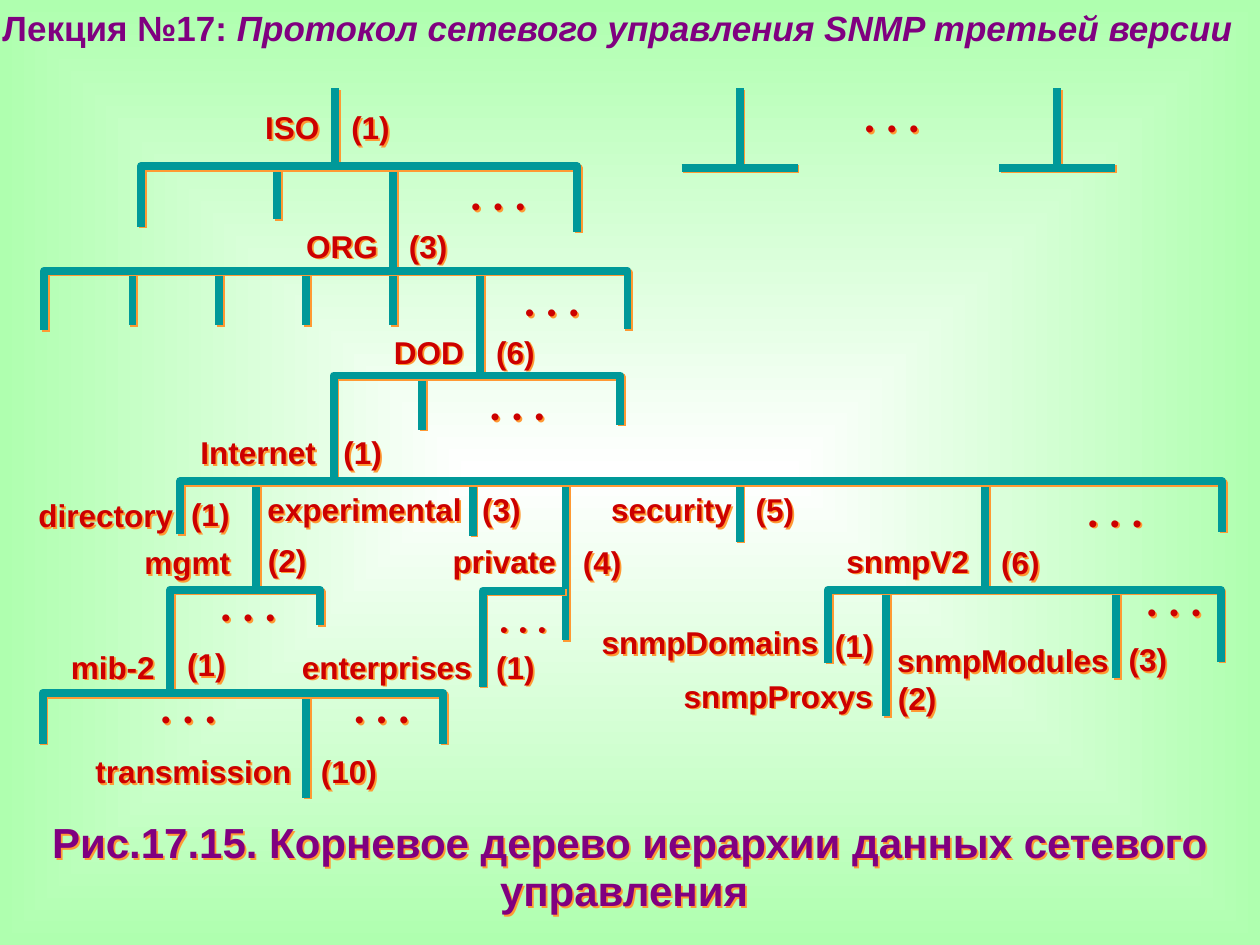
"""Builds the slide with the root tree of the network management data hierarchy."""
from pptx import Presentation
from pptx.dml.color import RGBColor
from pptx.enum.shapes import MSO_CONNECTOR as Connector
from pptx.enum.text import MSO_ANCHOR as Anchor, PP_ALIGN as Align
from pptx.oxml import parse_xml
from pptx.oxml.ns import nsdecls, qn
from pptx.util import Cm, Pt

rgb = RGBColor.from_string
PURPLE, RED, TEAL = "800080", "CC0000", "009999"
DOTS = "•  •  •"

SHADOW = (
    f'<a:effectLst {nsdecls("a")}><a:outerShdw dist="17961" dir="2700000" algn="ctr" rotWithShape="0">'
    '<a:srgbClr val="FF9933"/></a:outerShdw></a:effectLst>'
)
GRADIENT = (
    f'<a:gradFill {nsdecls("a")} rotWithShape="0"><a:gsLst>'
    '<a:gs pos="0"><a:srgbClr val="FFFFFF"/></a:gs><a:gs pos="100000"><a:srgbClr val="AFFFAF"/></a:gs>'
    '</a:gsLst><a:path path="shape"><a:fillToRect l="50000" t="50000" r="50000" b="50000"/></a:path></a:gradFill>'
)


def write(shape, text, size=18, color=RED, align=Align.CENTER, wrap=False, tail="", inset=(0, 0), spacing=1.0):
    frame = shape.text_frame
    frame.word_wrap = wrap
    frame.vertical_anchor = Anchor.MIDDLE
    frame.margin_left = frame.margin_right = Cm(inset[0])
    frame.margin_top = frame.margin_bottom = Cm(inset[1])
    paragraph = frame.paragraphs[0]
    paragraph.alignment = align
    paragraph.line_spacing = spacing
    for words, italic in ((text, False), (tail, True)):
        if words:
            run = paragraph.add_run()
            run.text = words
            run.font.name, run.font.size = "Arial", Pt(size)
            run.font.bold, run.font.italic = True, italic
            run.font.color.rgb = rgb(color)


deck = Presentation()
deck.slide_width, deck.slide_height = Cm(25.4), Cm(19.05)
slide = deck.slides.add_slide(deck.slide_layouts[5])
slide.background.fill.gradient()
gradient = slide.background.fill._xPr.find(qn("a:gradFill"))
gradient.getparent().replace(gradient, parse_xml(GRADIENT))

heading = slide.shapes.title
heading.left, heading.top, heading.width, heading.height = Cm(0), Cm(0), Cm(25.4), Cm(1.09)
write(heading, "Лекция №17: ", size=20, color=PURPLE, align=Align.LEFT, wrap=True,
      tail="Протокол сетевого управления SNMP третьей версии", inset=(0.05, 0.13))

branches = []

roots = [6.76, 14.91, 21.31]
stems = [(x, 1.78, 3.38) for x in roots]
stems += [(x, 5.49, 6.55) for x in (2.67, 4.42, 6.17, 7.92)]
stems += [
    (5.59, 3.38, 4.42), (7.92, 3.38, 5.49), (9.68, 5.49, 7.59), (8.51, 7.59, 8.66),
    (5.16, 9.75, 11.89), (9.53, 9.73, 10.8), (11.4, 9.73, 12.9), (14.91, 9.75, 10.92),
    (19.86, 9.75, 11.89), (6.17, 13.97, 16.08), (17.86, 11.86, 14.43), (22.5, 11.86, 13.67),
]
segments = [(x, top, x, bottom) for x, top, bottom in stems]
segments += [(x - 1.17, 3.38, x + 1.17, 3.38) for x in roots[1:]]
for ends in segments:
    branches.append(slide.shapes.add_connector(Connector.STRAIGHT, *map(Cm, ends)))

levels = [
    (2.84, 11.63, 3.35, 4.57, 4.67),
    (0.89, 12.65, 5.46, 6.65, 6.63),
    (6.73, 12.5, 7.57, 9.65, 8.56),
    (3.63, 24.64, 9.7, 10.77, 10.72),
    (3.43, 6.45, 11.89, 13.94, 12.6),
    (9.73, 11.4, 11.91, 13.84, 11.91),
    (16.69, 24.61, 11.89, 13.36, 13.34),
    (0.86, 8.94, 13.97, 14.99, 14.99),
]
for left, right, top, left_end, right_end in levels:
    outline = slide.shapes.build_freeform(Cm(left), Cm(left_end))
    corners = [(left, top), (right, top)]
    if right_end > top:
        corners.append((right, right_end))
    outline.add_line_segments([(Cm(x), Cm(y)) for x, y in corners], close=False)
    level = outline.convert_to_shape()
    level.fill.background()
    branches.append(level)

for branch in branches:
    branch.line.color.rgb = rgb(TEAL)
    branch.line.width = Pt(4.5)
    properties = branch.element.spPr
    properties.find(qn("a:ln")).append(parse_xml(f'<a:round {nsdecls("a")}/>'))
    properties.append(parse_xml(SHADOW))

nodes = [
    ("ISO", 5.31, 2.18, 1.17, "(1)", 7.04, 2.18),
    ("ORG", 6.17, 4.57, 1.45, "(3)", 8.2, 4.57),
    ("DOD", 7.92, 6.71, 1.45, "(6)", 9.96, 6.71),
    ("Internet", 3.81, 8.74, 2.79, "(1)", 6.88, 8.74),
    ("directory", 0.61, 10.01, 3.05, "(1)", 3.81, 9.98),
    ("mgmt", 2.9, 10.95, 1.75, "(2)", 5.36, 10.9),
    ("experimental", 5.33, 9.88, 4.04, "(3)", 9.68, 9.88),
    ("private", 8.92, 10.92, 2.49, "(4)", 11.71, 10.95),
    ("security", 12.17, 9.88, 2.74, "(5)", 15.19, 9.88),
    ("snmpV2", 16.74, 10.92, 3.12, "(6)", 20.14, 10.95),
    ("mib-2", 1.4, 13.06, 1.75, "(1)", 3.73, 13.0),
    ("transmission", 1.88, 15.16, 4.04, "(10)", 6.45, 15.16),
    ("enterprises", 5.92, 13.06, 3.76, "(1)", 9.96, 13.06),
    ("snmpDomains", 12.04, 12.57, 4.55, "(1)", 16.79, 12.62),
    ("snmpModules", 17.91, 12.93, 4.62, "(3)", 22.71, 12.9),
    ("snmpProxys", 13.77, 13.64, 3.84, "(2)", 18.06, 13.69),
]
omissions = [
    (17.27, 2.29, 1.42), (9.37, 3.86, 1.35), (10.39, 5.99, 1.47), (9.73, 8.1, 1.4), (21.59, 10.24, 1.78),
    (4.22, 12.14, 1.57), (2.97, 14.2, 1.65), (6.88, 14.2, 1.63), (22.83, 12.04, 1.68),
]
labels = [(DOTS, left, top, width, 0.58, {"size": 14}) for left, top, width in omissions]
labels.append((DOTS, 9.96, 12.42, 1.17, 0.51, {"size": 12}))
for name, left, top, width, number, number_left, number_top in nodes:
    number_width = 1.17 if len(number) > 3 else 0.86
    labels.append((name, left, top, width, 0.76, {}))
    labels.append((number, number_left, number_top, number_width, 0.76, {}))
labels.append(("Рис.17.15. Корневое дерево иерархии данных сетевого управления ", 0, 16.54, 25.4, 1.93,
               {"size": 24, "color": PURPLE, "wrap": True, "spacing": 0.95}))
for text, left, top, width, height, style in labels:
    label = slide.shapes.add_textbox(Cm(left), Cm(top), Cm(width), Cm(height))
    write(label, text, **style)
    label.element.spPr.append(parse_xml(SHADOW))

deck.save("out.pptx")
